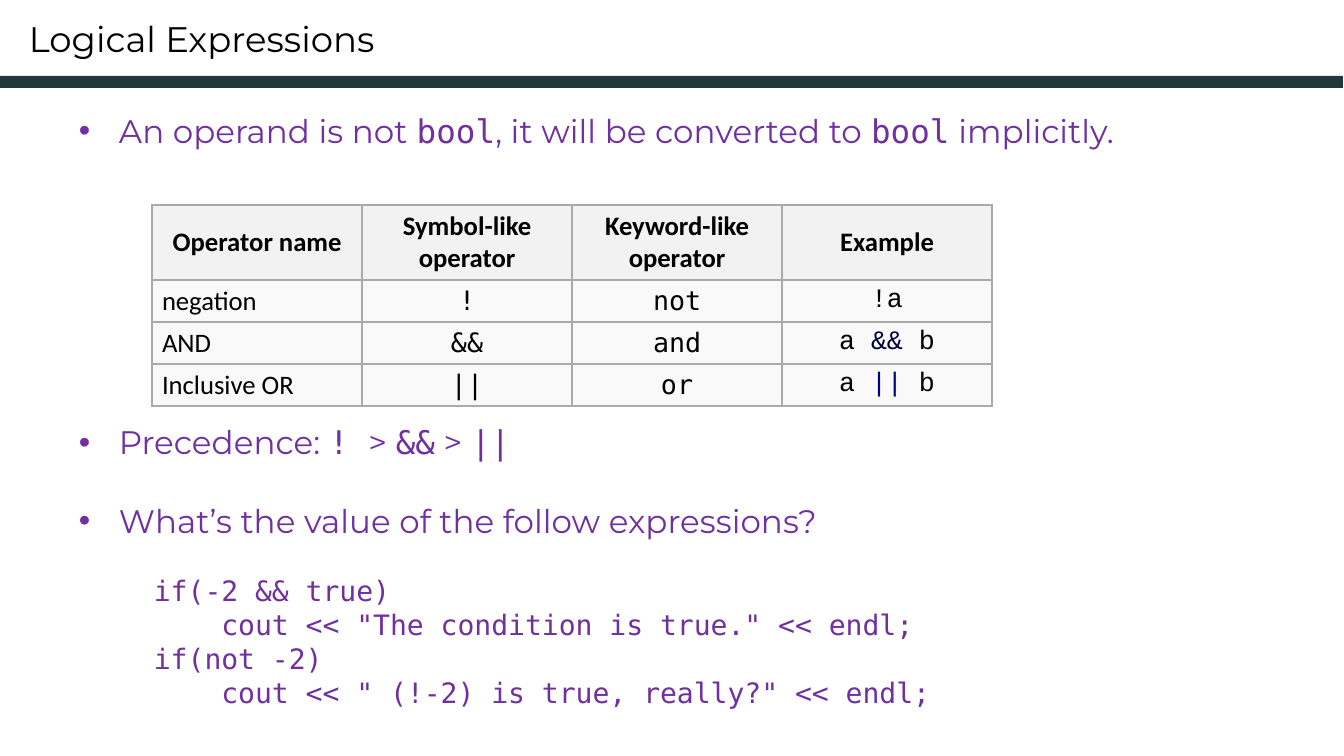
from lxml import etree
from pptx import Presentation
from pptx import util as u
from pptx.dml.color import RGBColor
from pptx.enum import shapes, text
from pptx.oxml import ns

SANS, MONO, COURIER, TABLE_FONT = "Montserrat", "DejaVu Sans Mono", "Courier New", "Calibri"
BLACK, PURPLE, BAR, GRID = "000000", "7030A0", "22373A", "AAAAAA"
HEADER_FILL, BODY_FILL = "F2F2F2", "F9F9F9"


def px(length):
    return u.Emu(length * 4293)


def rgb(value):
    return RGBColor.from_string(value)


class Deck:
    """Holds the style and the current slide, and adds elements to it."""

    def __init__(self, width, height):
        self.prs = Presentation()
        self.prs.slide_width, self.prs.slide_height = px(width), px(height)
        self.slide = self.prs.slides.add_slide(self.prs.slide_layouts[6])

    def bar(self, *box, color):
        bar = self.slide.shapes.add_shape(shapes.MSO_SHAPE.RECTANGLE, *map(px, box))
        bar.shadow.inherit = False
        bar.fill.solid()
        bar.fill.fore_color.rgb = rgb(color)
        bar.line.fill.background()

    def frame(self, *box):
        frame = self.slide.shapes.add_textbox(*map(px, box)).text_frame
        frame.word_wrap = True
        frame.margin_left = frame.margin_right = frame.margin_top = frame.margin_bottom = 0
        return frame

    def add_text(self, paragraph, runs, size, color, bold=False):
        """Add (text, font[, color]) runs to the paragraph."""
        fonts = {run[1] for run in runs}
        paragraph.font.size = u.Pt(size)
        paragraph.font.bold = bold
        paragraph.font.color.rgb = rgb(color)
        if len(fonts) == 1:
            paragraph.font.name = runs[0][1]
        for words, font, *accent in runs:
            run = paragraph.add_run()
            run.text = words
            if len(fonts) > 1:
                run.font.name = font
            if accent:
                run.font.color.rgb = rgb(accent[0])

    def indent(self, paragraph, left, first=0, bullet=None):
        props = paragraph._p.get_or_add_pPr()
        props.set("marL", str(px(left)))
        props.set("indent", str(px(first)))
        if bullet:
            etree.SubElement(props, ns.qn("a:buFont")).set("typeface", "Arial")
            etree.SubElement(props, ns.qn("a:buChar")).set("char", bullet)
        else:
            etree.SubElement(props, ns.qn("a:buNone"))

    def borders(self, cell):
        props = cell._tc.get_or_add_tcPr()
        for place, side in enumerate(("lnL", "lnR", "lnT", "lnB")):
            line = etree.Element(ns.qn(f"a:{side}"), w=str(u.Pt(0.75)))
            fill = etree.SubElement(line, ns.qn("a:solidFill"))
            etree.SubElement(fill, ns.qn("a:srgbClr")).set("val", GRID)
            props.insert(place, line)

    def table(self, left, top, column_width, heights, rows):
        columns = len(rows[0])
        table = self.slide.shapes.add_table(
            len(rows), columns, px(left), px(top),
            px(columns * column_width), px(sum(heights))).table
        table.horz_banding = False
        for column in table.columns:
            column.width = px(column_width)
        for r, (height, row) in enumerate(zip(heights, rows)):
            table.rows[r].height = px(height)
            for c, runs in enumerate(row):
                cell = table.cell(r, c)
                cell.margin_left = cell.margin_right = px(10)
                cell.margin_top = cell.margin_bottom = px(5)
                cell.vertical_anchor = text.MSO_ANCHOR.MIDDLE
                cell.fill.solid()
                cell.fill.fore_color.rgb = rgb(BODY_FILL if r else HEADER_FILL)
                self.borders(cell)
                paragraph = cell.text_frame.paragraphs[0]
                left_aligned = r > 0 and c == 0
                paragraph.alignment = text.PP_ALIGN.LEFT if left_aligned else text.PP_ALIGN.CENTER
                self.add_text(paragraph, runs, 9, BLACK, bold=r == 0)


HEADINGS = ["Operator name", "Symbol-like operator", "Keyword-like operator", "Example"]
OPERATORS = [
    ("negation", "!", "not", [("!a", COURIER)]),
    ("AND", "&&", "and", [("a ", COURIER), ("&&", COURIER, "000040"), (" b", COURIER)]),
    ("Inclusive OR", "||", "or", [("a ", COURIER), ("||", COURIER, "000080"), (" b", COURIER)]),
]
POINTS = [
    (0, [("An operand is not ", SANS), ("bool", MONO), (", it will be converted to ", SANS),
         ("bool", MONO), (" implicitly.", SANS)]),
    (92, [("Precedence: ", SANS), ("! ", MONO), ("> ", SANS), ("&&", MONO), (" > ", SANS),
          ("||", MONO)]),
    (13.3, [("What’s the value of the follow expressions?", SANS)]),
]
CODE = """if(-2 && true)
    cout << "The condition is true." << endl;
if(not -2)
    cout << " (!-2) is true, really?" << endl;""".split("\n")


def main():
    deck = Deck(1344, 756)
    deck.bar(0, 76, 1343, 12, color=BAR)
    title = deck.frame(29, 17, 1020, 49)
    deck.add_text(title.paragraphs[0], [("Logical Expressions", SANS)], 12, BLACK)

    body = deck.frame(79, 111, 1195, 626)
    for number, (gap, runs) in enumerate(POINTS):
        point = body.add_paragraph() if number else body.paragraphs[0]
        if gap:
            point.space_before = u.Pt(gap)
        deck.indent(point, 40, -40, "•")
        deck.add_text(point, runs, 11, PURPLE)
    for number, code in enumerate(CODE):
        line = body.add_paragraph()
        line.level = 1
        if number == 0:
            line.space_before = u.Pt(11.5)
        deck.indent(line, 75)
        deck.add_text(line, [(code, MONO)], 9.5, PURPLE)

    rows = [[[(heading, TABLE_FONT)] for heading in HEADINGS]]
    rows += [[[(name, TABLE_FONT)], [(symbol, MONO)], [(keyword, MONO)], example]
             for name, symbol, keyword, example in OPERATORS]
    deck.table(152, 205, 210, [75, 42, 42, 42], rows)
    deck.prs.save("out.pptx")


if __name__ == "__main__":
    main()
